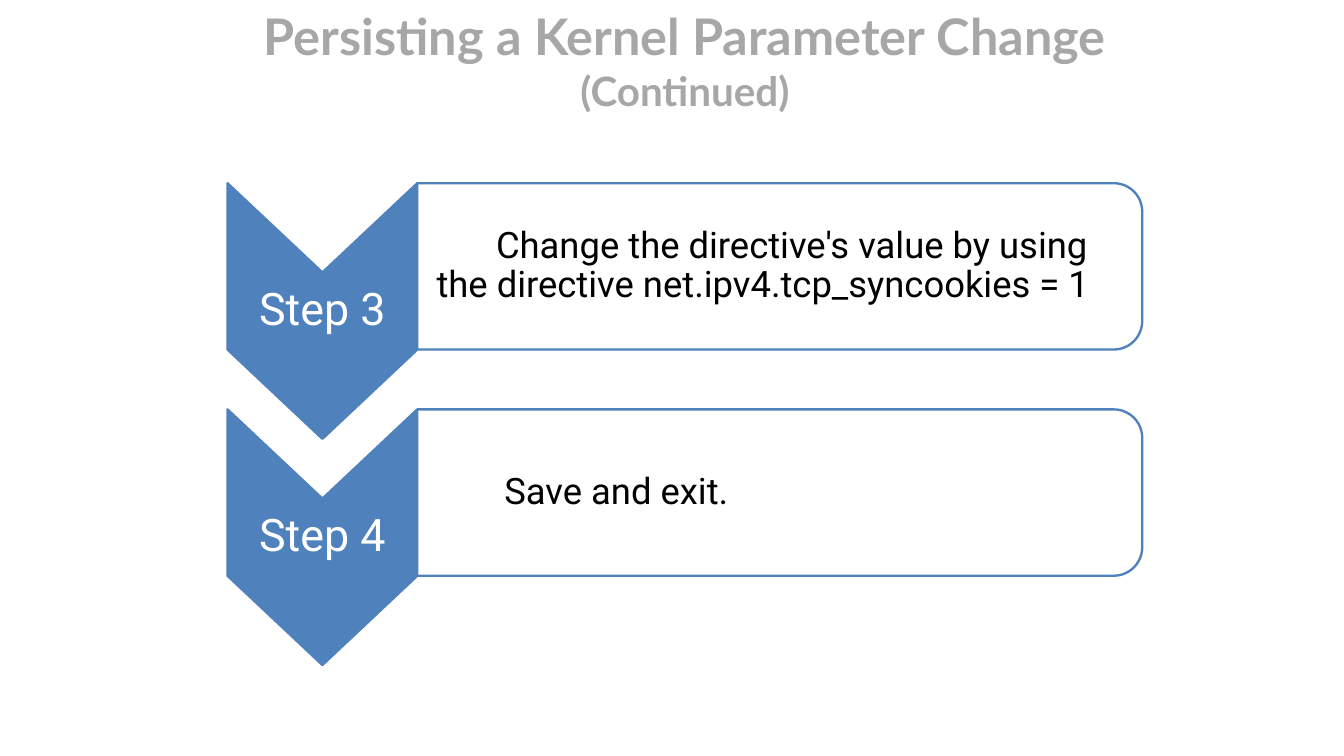
from math import cos, pi, sin

from pptx import Presentation
from pptx.dml.color import RGBColor
from pptx.enum.text import MSO_ANCHOR, PP_ALIGN
from pptx.util import Cm, Pt

BLUE, WHITE, BLACK, GREY = "4F81BD", "FFFFFF", "000000", "A7A7A7"
STEPS = [
    ("Step 3", "Change the directive's value by using the directive "
               "net.ipv4.tcp_syncookies = 1", 1.8),
    ("Step 4", "Save and exit.", 2.05),
]


def color(code):
    return RGBColor.from_string(code)


def write(shape, *runs, font="Roboto", fill=BLACK, bold=False, align=PP_ALIGN.LEFT,
          pad=(0.1, 0.1, 0.1, 0.1), lines=1.0, indent=0):
    """Fill a shape with one paragraph of (text, size) runs."""
    frame = shape.text_frame
    frame.word_wrap = True
    frame.vertical_anchor = MSO_ANCHOR.MIDDLE
    (frame.margin_left, frame.margin_top,
     frame.margin_right, frame.margin_bottom) = map(Cm, pad)
    para = frame.paragraphs[0]
    para.alignment = align
    para.line_spacing = lines
    if indent:
        props = para._p.get_or_add_pPr()
        props.set("marL", "0")
        props.set("indent", str(Cm(indent)))
    for text, size in runs:
        run = para.add_run()
        run.text = text
        run.font.name = font
        run.font.size = Pt(size)
        run.font.bold = bold
        run.font.color.rgb = color(fill)


def outline(slide, points, fill):
    """Draw a closed blue outline through points given in centimetres."""
    first, *rest = [(Cm(x), Cm(y)) for x, y in points]
    pen = slide.shapes.build_freeform(*first)
    pen.add_line_segments(rest, close=True)
    shape = pen.convert_to_shape()
    shape.shadow.inherit = False
    shape.fill.solid()
    shape.fill.fore_color.rgb = color(fill)
    shape.line.color.rgb = color(BLUE)
    shape.line.width = Pt(2)
    return shape


def chevron(slide, x, y, w, h, label):
    notch = 2.7
    mid, right, low = x + w / 2, x + w, y + h - notch
    points = [(x, y), (mid, y + notch), (right, y),
              (right, low), (mid, y + h), (x, low)]
    write(outline(slide, points, BLUE), (label, 38.4), fill=WHITE,
          align=PP_ALIGN.CENTER, lines=0.9)


def panel(slide, x, y, w, h, text, indent):
    """Box with its two right corners rounded."""
    r, parts = 0.86, 12
    turns = [i * pi / 2 / parts for i in range(parts + 1)]
    cx = x + w - r
    upper = [(cx + r * sin(t), y + r - r * cos(t)) for t in turns]
    lower = [(cx + r * cos(t), y + h - r + r * sin(t)) for t in turns]
    shape = outline(slide, [(x, y), *upper, *lower, (x, y + h)], WHITE)
    write(shape, (text, 31.2), pad=(0.58, 0.3, 0.3, 0.3), lines=0.9, indent=indent)


def title(slide, x, y, w, h):
    box = slide.shapes.add_textbox(Cm(x), Cm(y), Cm(w), Cm(h))
    write(box, ("Persisting a Kernel Parameter Change ", 43.2), ("(Continued)", 34.6),
          font="Lato", fill=GREY, bold=True, align=PP_ALIGN.CENTER,
          pad=(0.18, 0.18, 0.18, 0.18))


def steps(slide, x, y, w, pitch):
    arrow = 5.74
    for i, (label, text, indent) in enumerate(STEPS):
        top = y + i * pitch
        chevron(slide, x, top, arrow, 7.73, label)
        panel(slide, x + arrow, top, w - arrow, 5.03, text, indent)


def main():
    deck = Presentation()
    deck.slide_width, deck.slide_height = Cm(40.64), Cm(22.86)
    slide = deck.slides.add_slide(deck.slide_layouts[6])
    title(slide, 6.88, 1.02, 27.66, 1.57)
    steps(slide, 6.88, 5.54, 27.66, 6.84)
    deck.save("out.pptx")


if __name__ == "__main__":
    main()
